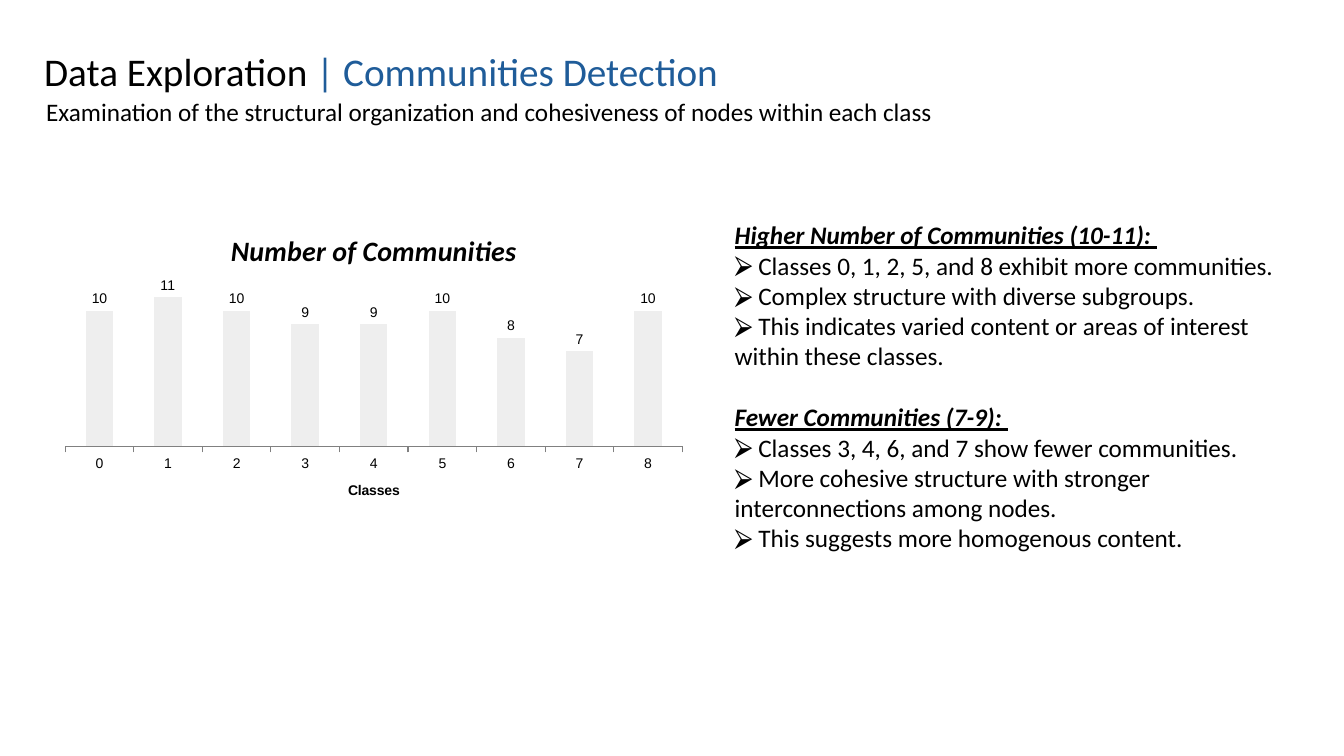
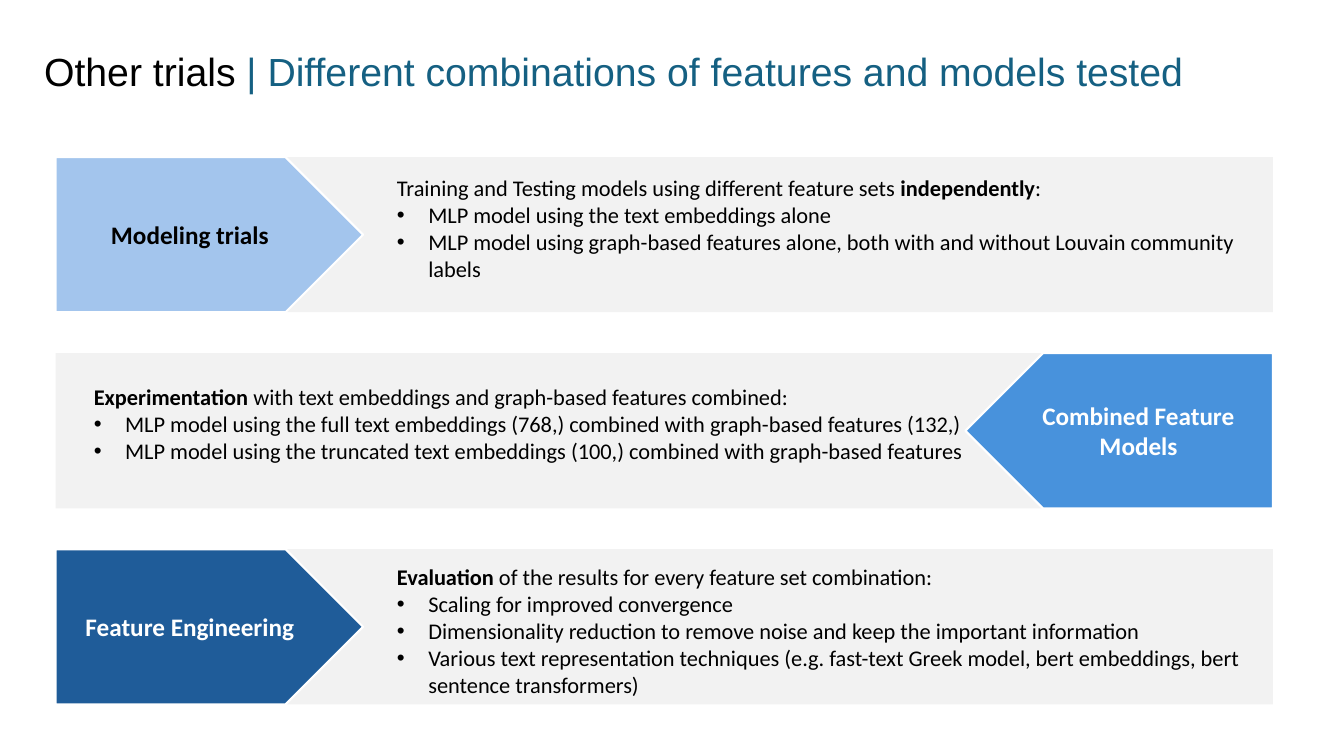
from lxml import etree
from pptx import Presentation
from pptx import util as u
from pptx.chart import data as chart_data
from pptx.dml import color
from pptx.enum import chart as charts, shapes, text
from pptx.oxml import ns

BLACK, WHITE, BAND = "000000", "FFFFFF", "F2F2F2"
NAVY, BLUE, SKY, TEAL = "1F5C99", "4892DC", "A3C5ED", "156082"
COMPARISON_LAYOUT = 4


def rgb(value):
    return color.RGBColor.from_string(value)


class Slides:
    """Holds the shared style and the slide being built."""

    def __init__(self):
        self.deck = Presentation()
        self.deck.slide_width, self.deck.slide_height = u.Cm(33.87), u.Cm(19.05)
        self.page = None
        self.bodies = []

    # Pages and placeholders
    def new_page(self, topic, detail, accent, font):
        self.page = self.deck.slides.add_slide(self.deck.slide_layouts[COMPARISON_LAYOUT])
        title = self.page.shapes.title
        self.bodies = [box for box in self.page.placeholders
                       if box.placeholder_format.idx != 0]
        self.place(title, (0.86, 1.07, 32.16, 1.45))
        para = title.text_frame.paragraphs[0]
        self.style(para, 28, font)
        for words, ink in ((topic + " ", BLACK), ("| " + detail, accent)):
            span = para.add_run()
            span.text = words
            span.font.color.rgb = rgb(ink)

    def place(self, box, area):
        box.left, box.top, box.width, box.height = (u.Cm(side) for side in area)
        frame = box.text_frame
        frame.word_wrap = True
        frame.auto_size = text.MSO_AUTO_SIZE.NONE
        frame.vertical_anchor = text.MSO_ANCHOR.TOP

    def style(self, para, size, font="Calibri", ink=BLACK, bold=False,
              align=text.PP_ALIGN.LEFT):
        para.alignment = align
        para.line_spacing = 1.0
        para.space_before = para.space_after = u.Pt(0)
        para.font.size, para.font.name, para.font.bold = u.Pt(size), font, bold
        para.font.color.rgb = rgb(ink)

    def bullet(self, para, mark=None, margin=0.0, hang=0.0):
        """Set the bullet, or clear the inherited one when mark is None."""
        props = para._p.get_or_add_pPr()
        props.set("marL", str(u.Cm(margin)))
        props.set("indent", str(u.Cm(-hang)))
        if mark is None:
            parts = [etree.Element(ns.qn("a:buNone"))]
        else:
            tint = etree.Element(ns.qn("a:buClr"))
            etree.SubElement(tint, ns.qn("a:srgbClr"), val=BLACK)
            parts = [tint, etree.Element(ns.qn("a:buFont"), typeface="Arial"),
                     etree.Element(ns.qn("a:buChar"), char=mark)]
        defaults = props.find(ns.qn("a:defRPr"))
        for part in parts:
            defaults.addprevious(part)

    def body(self, area, size):
        """Take the next body placeholder and bring it to the front."""
        box = self.bodies.pop(0)
        self.place(box, area)
        box._element.getparent().append(box._element)
        return BodyText(self, box.text_frame, size)

    def drop_unused(self):
        for box in self.bodies:
            box._element.getparent().remove(box._element)

    # Shapes
    def shape(self, kind, area, fill, line=None):
        shape = self.page.shapes.add_shape(kind, *(u.Cm(side) for side in area))
        shape.shadow.inherit = False
        shape.fill.solid()
        shape.fill.fore_color.rgb = rgb(fill)
        if line:
            shape.line.color.rgb = rgb(line)
            shape.line.width = u.Pt(1.5)
        else:
            shape.line.fill.background()
        return shape

    def arrow(self, area, label, fill, ink, flipped):
        arrow = self.shape(shapes.MSO_SHAPE.PENTAGON, area, fill, WHITE)
        if flipped:
            arrow._element.spPr.xfrm.set("flipH", "1")
        arrow.text_frame.word_wrap = True
        arrow.text_frame.vertical_anchor = text.MSO_ANCHOR.MIDDLE
        para = arrow.text_frame.paragraphs[0]
        para.text = label
        self.style(para, 18, ink=ink, bold=True, align=text.PP_ALIGN.CENTER)

    # Chart
    def columns(self, area, name, axis_name, values):
        data = chart_data.CategoryChartData()
        data.categories = [str(index) for index in range(len(values))]
        data.add_series(name, values)
        chart = self.page.shapes.add_chart(
            charts.XL_CHART_TYPE.COLUMN_CLUSTERED,
            *(u.Cm(side) for side in area), data).chart
        chart.font.size, chart.font.name = u.Pt(10), "Arial"
        chart.font.color.rgb = rgb(BLACK)
        chart.has_legend = False

        chart.has_title = True
        heading = chart.chart_title.text_frame
        heading.text = name
        font = heading.paragraphs[0].font
        font.size, font.name, font.bold, font.italic = u.Pt(20), "Calibri", True, True
        font.color.rgb = rgb(BLACK)

        axis = chart.category_axis
        axis.axis_title.text_frame.text = axis_name
        font = axis.axis_title.text_frame.paragraphs[0].font
        font.size, font.name, font.bold = u.Pt(10), "Arial", True
        axis.format.line.color.rgb = rgb("808080")
        scale = chart.value_axis
        scale.visible = scale.has_major_gridlines = False
        scale.minimum_scale, scale.maximum_scale = 0, 12

        plot = chart.plots[0]
        plot.gap_width, plot.vary_by_categories = 150, False
        plot.has_data_labels = True
        plot.data_labels.show_value = True
        plot.data_labels.position = charts.XL_LABEL_POSITION.OUTSIDE_END
        bars = plot.series[0].format.fill
        bars.solid()
        bars.fore_color.rgb = rgb("EEEEEE")


class BodyText:
    """Adds paragraphs to one body placeholder."""

    def __init__(self, slides, frame, size):
        self.slides, self.frame, self.size = slides, frame, size
        self.started = False

    def add(self, words, mark=None, margin=0.0, hang=0.0):
        para = self.frame.add_paragraph() if self.started else self.frame.paragraphs[0]
        self.started = True
        self.slides.style(para, self.size)
        self.slides.bullet(para, mark, margin, hang)
        spans = [(words, False)] if isinstance(words, str) else words
        for words_part, bold in spans:
            span = para.add_run()
            span.text = words_part
            if bold:
                span.font.bold = True
        return para


FINDINGS = [
    ("Higher Number of Communities (10-11): ", [
        "Classes 0, 1, 2, 5, and 8 exhibit more communities.",
        "Complex structure with diverse subgroups.",
        "This indicates varied content or areas of interest within these classes."]),
    ("Fewer Communities (7-9): ", [
        "Classes 3, 4, 6, and 7 show fewer communities.",
        "More cohesive structure with stronger interconnections among nodes.",
        "This suggests more homogenous content."]),
]

# Label, fill, ink, flipped, text offset from band top, lead spans, points
TRIALS = [
    ("Modeling trials", SKY, BLACK, False, 0.31,
     [("Training and Testing models using different feature sets ", False),
      ("independently", True), (":", False)],
     ["MLP model using the text embeddings alone",
      "MLP model using graph-based features alone, both with and without "
      "Louvain community labels"]),
    ("Combined Feature Models", BLUE, WHITE, True, 0.63,
     [("Experimentation", True),
      (" with text embeddings and graph-based features combined:", False)],
     ["MLP model using the full text embeddings (768,) combined with "
      "graph-based features (132,)",
      "MLP model using the truncated text embeddings (100,) combined with "
      "graph-based features"]),
    ("Feature Engineering", NAVY, WHITE, False, 0.23,
     [("Evaluation", True),
      (" of the results for every feature set combination:", False)],
     ["Scaling for improved convergence",
      "Dimensionality reduction to remove noise and keep the important information",
      "Various text representation techniques (e.g. fast-text Greek model, "
      "bert embeddings, bert sentence transformers)"]),
]


def communities(slides):
    slides.new_page("Data Exploration", "Communities Detection", NAVY, "Calibri")
    slides.body((0.91, 2.29, 31.85, 1.02), 18).add(
        "Examination of the structural organization and cohesiveness of nodes "
        "within each class")
    slides.columns((1.32, 5.41, 16.2, 7.67), "Number of Communities", "Classes",
                   [10, 11, 10, 9, 9, 10, 8, 7, 10])
    findings = slides.body((18.26, 5.41, 14.3, 9.5), 18)
    for index, (heading, points) in enumerate(FINDINGS):
        para = findings.add(heading)
        para.font.bold = para.font.italic = para.font.underline = True
        para.space_before = u.Pt(22 * index)
        for point in points:
            findings.add(" " + point, "⮚", hang=0.3)
    slides.drop_unused()


def trials(slides):
    slides.new_page("Other trials", "Different combinations of features and models tested",
                    TEAL, "Arial")
    left, top, width, height, pitch, arrow_width = 1.4, 3.96, 30.68, 3.91, 4.94, 7.75
    for row, (label, fill, ink, flipped, offset, lead, points) in enumerate(TRIALS):
        band_top = top + row * pitch
        slides.shape(shapes.MSO_SHAPE.RECTANGLE, (left, band_top, width, height), BAND)
        arrow_left = left + width - arrow_width if flipped else left
        slides.arrow((arrow_left, band_top, arrow_width, height), label, fill, ink, flipped)
        text_left, text_width = (2.11, 22.68) if flipped else (9.75, 22.33)
        notes = slides.body((text_left, band_top + offset, text_width, height - offset), 16)
        notes.add(lead)
        for point in points:
            notes.add(point, "•", margin=0.79, hang=0.79)
    slides.drop_unused()


def main():
    slides = Slides()
    communities(slides)
    trials(slides)
    slides.deck.save("out.pptx")


if __name__ == "__main__":
    main()
